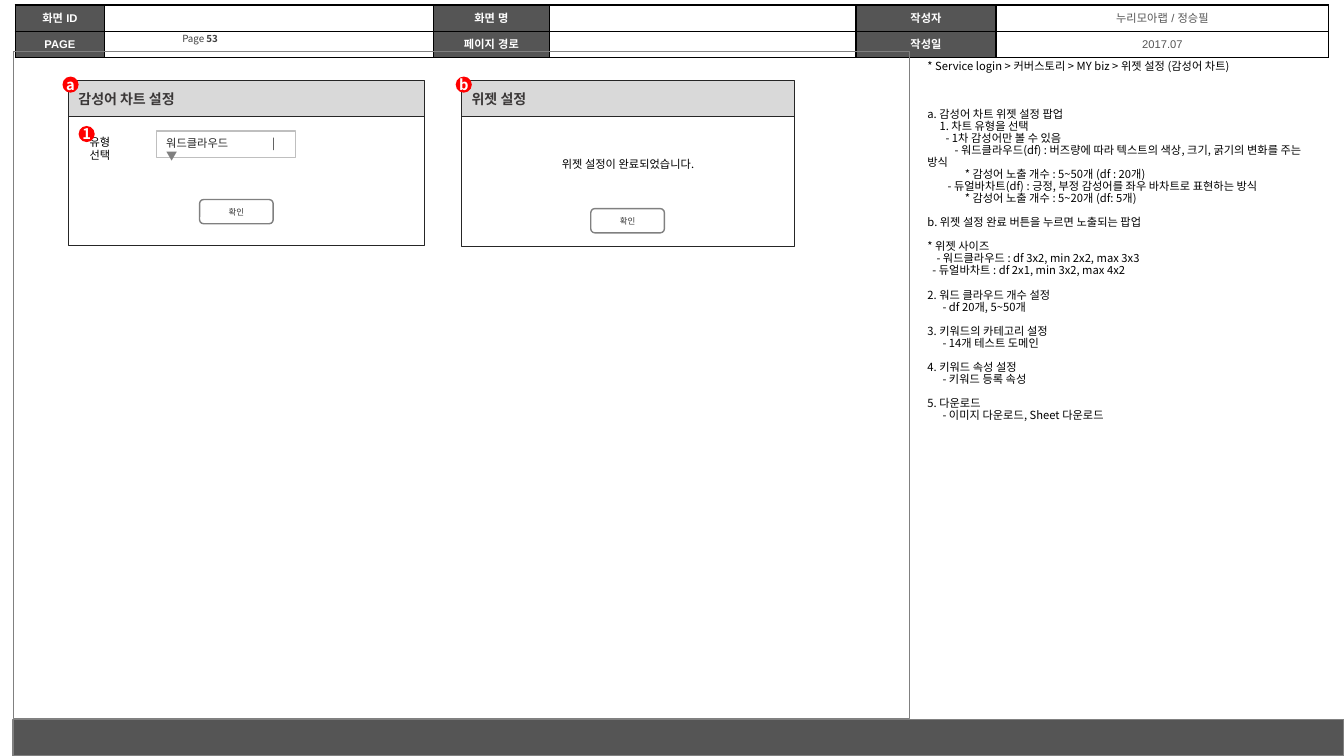
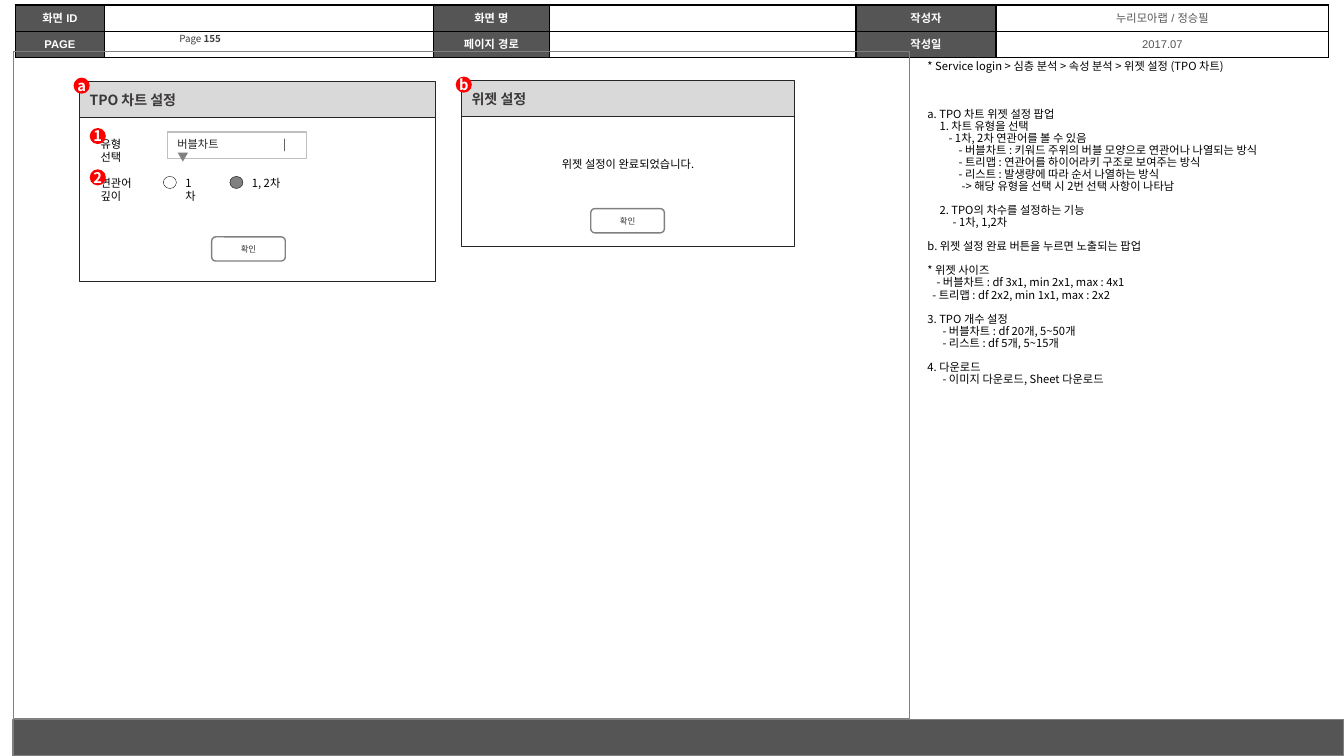
from lxml import etree
from pptx import Presentation
from pptx.dml.color import RGBColor
from pptx.enum.shapes import MSO_SHAPE
from pptx.enum.text import MSO_ANCHOR, PP_ALIGN
from pptx.oxml.ns import qn
from pptx.util import Inches, Pt

RECT, ROUND, OVAL = MSO_SHAPE.RECTANGLE, MSO_SHAPE.ROUNDED_RECTANGLE, MSO_SHAPE.OVAL
LEFT, CENTER = PP_ALIGN.LEFT, PP_ALIGN.CENTER
TOP, MIDDLE = MSO_ANCHOR.TOP, MSO_ANCHOR.MIDDLE
SANS = "Noto Sans CJK KR"
DARK, GRAY, WHITE, BLACK, RED = "555555", "808080", "FFFFFF", "000000", "FF0000"
EDGE = "262626"

PLAIN = dict(size=8, color=BLACK)
CENTERED = dict(size=8, color=BLACK, align=CENTER)
TITLE = dict(size=10, color="3B3838", bold=True)
BADGE = dict(size=10.5, color=WHITE, bold=True, align=CENTER)
BUTTON = dict(size=6, color="373737", align=CENTER)
HEAD_LABEL = dict(size=8, color=WHITE, bold=True, align=CENTER, font="Arial")
HEAD_VALUE = dict(size=8, color=DARK, align=CENTER, font="Arial")
PAGE = dict(size=7, color="404040", align=CENTER)

HEADER_COLUMNS = [0.89, 3.26, 1.15, 3.04, 1.39, 3.3]
HEADER_ROWS = [
    ["화면 ID", "", "화면 명", "", "작성자", "누리모아랩 / 정승필"],
    ["PAGE", "", "페이지 경로", "", "작성일", "2017.07"],
]
NOTE_LINE = 8.6

# Each note: blank lines above, first-line indent in inches, text
SLIDES = [
    dict(
        page="53", title="감성어 차트 설정", left=0.68, top=0.8, body=1.28,
        button=(1.98, 1.98), choice="워드클라우드",
        fields=[("유형 선택", 0.62, 0.49, 0.45)], radios=[],
        notes=[
            (0, 0, "* Service login > 커버스토리 > MY biz > 위젯 설정 (감성어 차트)"),
            (3, 0, "a. 감성어 차트 위젯 설정 팝업"),
            (0, 0.12, "1. 차트 유형을 선택"),
            (0, 0.18, "- 1차 감성어만 볼 수 있음"),
            (0, 0.27, "- 워드클라우드(df) : 버즈량에 따라 텍스트의 색상, 크기, 굵기의 변화를 주는 방식"),
            (0, 0.37, "* 감성어 노출 개수 : 5~50개 (df : 20개)"),
            (0, 0.2, "- 듀얼바차트(df) : 긍정, 부정 감성어를 좌우 바차트로 표현하는 방식"),
            (0, 0.37, "* 감성어 노출 개수 : 5~20개 (df: 5개)"),
            (1, 0, "b. 위젯 설정 완료 버튼을 누르면 노출되는 팝업"),
            (1, 0, "* 위젯 사이즈"),
            (0, 0.09, "- 워드클라우드 : df 3x2, min 2x2, max 3x3"),
            (0, 0.05, "- 듀얼바차트 : df 2x1, min 3x2, max 4x2"),
            (1, 0, "2. 워드 클라우드 개수 설정"),
            (0, 0.15, "- df 20개, 5~50개"),
            (1, 0, "3. 키워드의 카테고리 설정"),
            (0, 0.15, "- 14개 테스트 도메인"),
            (1, 0, "4. 키워드 속성 설정"),
            (0, 0.15, "- 키워드 등록 속성"),
            (1, 0, "5. 다운로드"),
            (0, 0.15, "- 이미지 다운로드, Sheet 다운로드"),
        ],
    ),
    dict(
        page="155", title="TPO 차트 설정", left=0.79, top=0.81, body=1.62,
        button=(2.1, 2.35), choice="버블차트",
        fields=[("유형 선택", 0.62, 0.5, 0.46), ("연관어 깊이", 0.72, 0.89, 0.87)],
        radios=[("1차", 1.62, 0.36, WHITE), ("1, 2차", 2.28, 0.48, GRAY)],
        notes=[
            (0, 0, "* Service login > 심층 분석 > 속성 분석 > 위젯 설정 (TPO 차트)"),
            (3, 0, "a. TPO 차트 위젯 설정 팝업"),
            (0, 0.12, "1. 차트 유형을 선택"),
            (0, 0.21, "- 1차, 2차 연관어를 볼 수 있음"),
            (0, 0.31, "- 버블차트 : 키워드 주위의 버블 모양으로 연관어나 나열되는 방식"),
            (0, 0.31, "- 트리맵 : 연관어를 하이어라키 구조로 보여주는 방식"),
            (0, 0.31, "- 리스트 : 발생량에 따라 순서 나열하는 방식"),
            (0, 0.34, "-> 해당 유형을 선택 시 2번 선택 사항이 나타남"),
            (1, 0.12, "2. TPO의 차수를 설정하는 기능"),
            (0, 0.25, "- 1차, 1,2차"),
            (1, 0, "b. 위젯 설정 완료 버튼을 누르면 노출되는 팝업"),
            (1, 0, "* 위젯 사이즈"),
            (0, 0.09, "- 버블차트 : df 3x1, min 2x1, max : 4x1"),
            (0, 0.05, "- 트리맵 : df 2x2, min 1x1, max : 2x2"),
            (1, 0, "3. TPO 개수 설정"),
            (0, 0.15, "- 버블차트 : df 20개, 5~50개"),
            (0, 0.15, "- 리스트 : df 5개, 5~15개"),
            (1, 0, "4. 다운로드"),
            (0, 0.15, "- 이미지 다운로드, Sheet 다운로드"),
        ],
    ),
]


def write(paragraph, text, size, color, bold=False, align=LEFT, font=SANS):
    """Append a formatted run to the paragraph."""
    paragraph.alignment = align
    run = paragraph.add_run()
    run.text = text
    for name, value in dict(size=Pt(size), bold=bold, name=font).items():
        setattr(run.font, name, value)
    run.font.color.rgb = RGBColor.from_string(color)
    etree.SubElement(run.font._element, qn("a:ea"), typeface=font)


def box(at, kind=None, fill=None, line=None, width=0.75, text="", style=PLAIN,
        anchor=MIDDLE, inset=None):
    """Add a preset shape, or a text box when kind is None; return its text frame."""
    place = [Inches(value) for value in at]
    if kind is None:
        shape = slide.shapes.add_textbox(*place)
    else:
        shape = slide.shapes.add_shape(kind, *place)
        shape.shadow.inherit = False
        if fill:
            shape.fill.solid()
            shape.fill.fore_color.rgb = RGBColor.from_string(fill)
        else:
            shape.fill.background()
        if line:
            shape.line.color.rgb = RGBColor.from_string(line)
            shape.line.width = Pt(width)
        else:
            shape.line.fill.background()
    frame = shape.text_frame
    frame.word_wrap = inset is None
    frame.vertical_anchor = anchor
    if inset is not None:
        frame.margin_left = frame.margin_right = Inches(inset)
        frame.margin_top = frame.margin_bottom = Inches(inset)
    if text:
        write(frame.paragraphs[0], text, **style)
    return frame


prs = Presentation()
prs.slide_width, prs.slide_height = Inches(13.33), Inches(7.5)

for content in SLIDES:
    slide = prs.slides.add_slide(prs.slide_layouts[6])

    # Header table and frame
    header = slide.shapes.add_table(
        2, 6, Inches(0.15), Inches(0.05), Inches(13.03), Inches(0.52)).table
    header.first_row = header.horz_banding = False
    for column, width in zip(header.columns, HEADER_COLUMNS):
        column.width = Inches(width)
    for r, row in enumerate(HEADER_ROWS):
        header.rows[r].height = Inches(0.26)
        for c, text in enumerate(row):
            cell = header.cell(r, c)
            cell.vertical_anchor = MIDDLE
            properties = cell._tc.get_or_add_tcPr()
            for side in ("lnL", "lnR", "lnT", "lnB"):
                border = etree.SubElement(properties, qn("a:" + side), w=str(Pt(1)))
                solid = etree.SubElement(border, qn("a:solidFill"))
                etree.SubElement(solid, qn("a:srgbClr"), val=BLACK)
            is_label = c % 2 == 0
            if is_label:
                cell.fill.solid()
                cell.fill.fore_color.rgb = RGBColor.from_string(DARK)
            else:
                cell.fill.background()
            paragraph = cell.text_frame.paragraphs[0]
            if text:
                write(paragraph, text, **(HEAD_LABEL if is_label else HEAD_VALUE))
            else:
                etree.SubElement(paragraph._p, qn("a:endParaRPr"), sz="800")
    box((0.13, 0.51, 8.89, 6.62), RECT, line=GRAY)
    box((0.13, 7.14, 13.2, 0.36), RECT, DARK, GRAY, 1)
    page = box((1.27, 0.26, 1.43, 0.25), text="Page ", style=PAGE)
    write(page.paragraphs[0], content["page"], bold=True, **PAGE)

    # Description column
    notes = box((9.1, 0.55, 4.08, 6.47), anchor=TOP)
    for i, (blanks, indent, text) in enumerate(content["notes"]):
        paragraph = notes.add_paragraph() if i else notes.paragraphs[0]
        paragraph.line_spacing = 0.9
        paragraph.space_before = Pt(blanks * NOTE_LINE)
        properties = paragraph._p.get_or_add_pPr()
        properties.set("marL", "0")
        properties.set("indent", str(Inches(indent)))
        write(paragraph, text, **PLAIN)

    # Two popups
    left, top = content["left"], content["top"]
    popups = [
        ("a", content["title"], left, top, 3.53, content["body"], content["button"]),
        ("b", "위젯 설정", 4.58, 0.8, 3.3, 1.29, (5.86, 2.07)),
    ]
    for letter, title, x, y, width, height, button in popups:
        box((x, y, width, 0.36), RECT, "D9D9D9", EDGE, text=title, style=TITLE)
        box((x, y + 0.36, width, height), RECT, line=EDGE)
        box((*button, 0.73, 0.24), ROUND, WHITE, GRAY, 1, "확인", BUTTON)
        box((x - 0.06, y - 0.04, 0.16, 0.16), OVAL, RED, text=letter, style=BADGE, inset=0)
    box((4.58, 1.51, 3.3, 0.24), text="위젯 설정이 완료되었습니다.", style=CENTERED, anchor=TOP)

    # Settings form
    choice = box((left + 0.87, top + 0.5, 1.38, 0.26), RECT, WHITE, "BFBFBF", anchor=TOP)
    tabs = etree.SubElement(choice.paragraphs[0]._p.get_or_add_pPr(), qn("a:tabLst"))
    etree.SubElement(tabs, qn("a:tab"), pos=str(Inches(1.05)), algn="l")
    write(choice.paragraphs[0], content["choice"] + "\t|", 8, EDGE)
    write(choice.add_paragraph(), "▼", 8, GRAY)
    for number, (label, width, label_y, badge_y) in enumerate(content["fields"], 1):
        box((left + 0.11, top + label_y, width, 0.24), text=label, anchor=TOP)
        box((left + 0.1, top + badge_y, 0.16, 0.16), OVAL, RED,
            text=str(number), style=BADGE, inset=0)
    for label, x, width, fill in content["radios"]:
        box((x, 1.75, 0.13, 0.12), OVAL, fill, BLACK, 0.25)
        box((x + 0.12, 1.7, width, 0.24), text=label, anchor=TOP)

prs.save("out.pptx")
